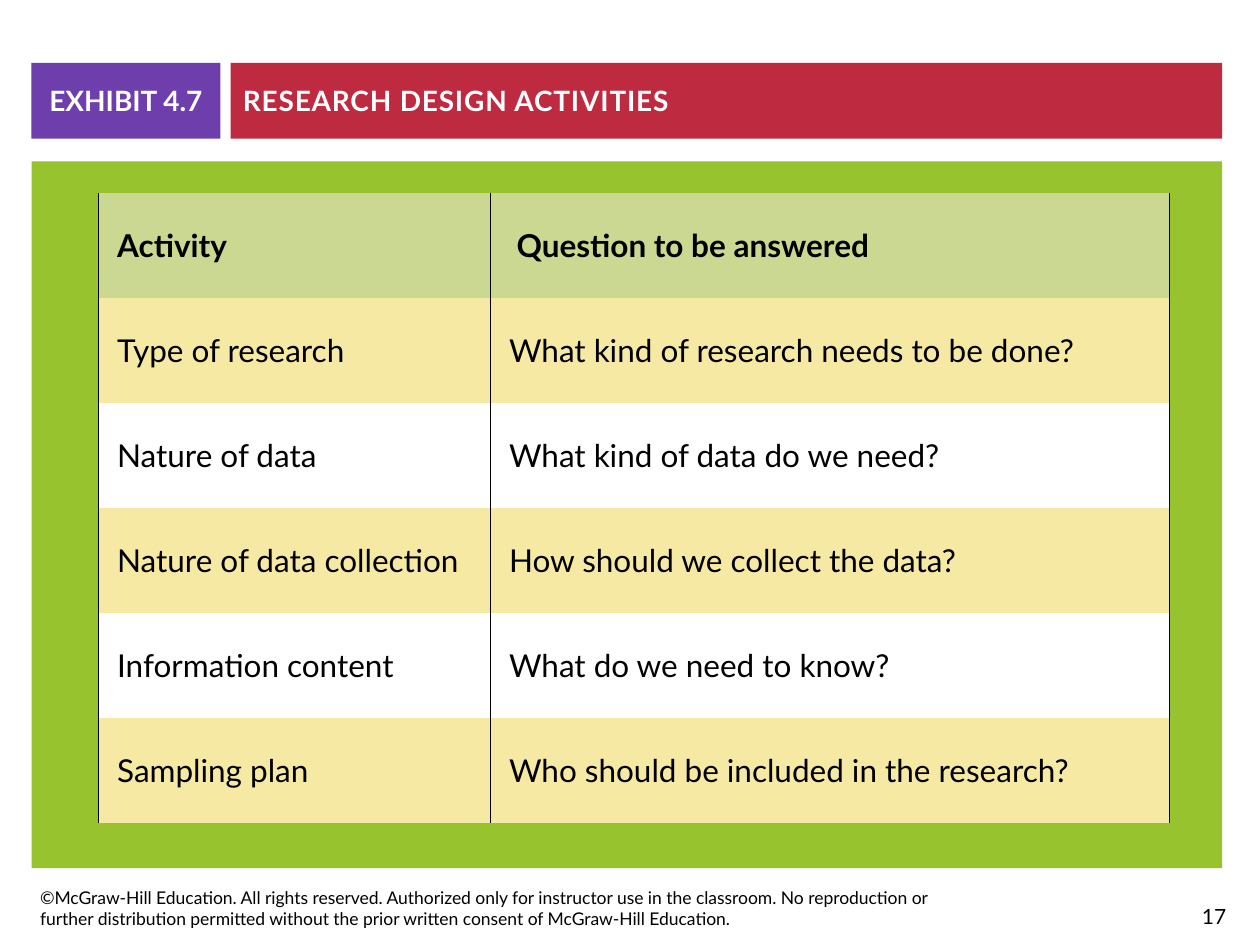
"""Build the research design activities exhibit slide."""
from dataclasses import dataclass

from lxml import etree
from pptx import Presentation
from pptx.dml.color import RGBColor
from pptx.enum.shapes import MSO_SHAPE
from pptx.enum.text import MSO_ANCHOR, PP_ALIGN
from pptx.oxml.ns import qn
from pptx.util import Inches, Pt

RECTANGLE = MSO_SHAPE.RECTANGLE
MIDDLE, BOTTOM = MSO_ANCHOR.MIDDLE, MSO_ANCHOR.BOTTOM
LEFT, CENTER, RIGHT = PP_ALIGN.LEFT, PP_ALIGN.CENTER, PP_ALIGN.RIGHT

EXHIBIT = "EXHIBIT 4.7"
TITLE = "RESEARCH DESIGN ACTIVITIES"
ACTIVITIES = [
    ("Activity", "Question to be answered"),
    ("Type of research", "What kind of research needs to be done?"),
    ("Nature of data", "What kind of data do we need?"),
    ("Nature of data collection", "How should we collect the data?"),
    ("Information content", "What do we need to know?"),
    ("Sampling plan", "Who should be included in the research?"),
]
COPYRIGHT = (
    "©McGraw-Hill Education. All rights reserved. Authorized only for instructor "
    "use in the classroom. No reproduction or further distribution permitted "
    "without the prior written consent of McGraw-Hill Education."
)
PAGE_NUMBER = "17"


@dataclass(frozen=True)
class Theme:
    font: str = "Lato"
    black: str = "000000"
    white: str = "FFFFFF"
    exhibit: str = "6D3EAC"
    title: str = "BE2B41"
    panel: str = "96C32E"
    header: str = "CAD891"
    stripe: str = "F6E9A3"
    heading_size: int = 16
    table_size: int = 18
    number_size: int = 12
    copyright_size: int = 10
    border_width: float = 0.5


THEME = Theme()
WIDTH, HEIGHT = 10, 7.5
MARGIN, RIGHT_EDGE = 0.25, 9.7
BAND_TOP, BAND_HEIGHT = 0.5, 0.6
EXHIBIT_WIDTH, TITLE_LEFT = 1.5, 1.83
PANEL_TOP, PANEL_HEIGHT = 1.28, 5.61
TABLE_LEFT, TABLE_TOP, TABLE_HEIGHT = 0.78, 1.53, 5
COLUMN_WIDTHS = (3.11, 5.39)
CELL_MARGIN, HEADER_INDENT = 0.15, 0.06
FOOTER_TOP, FOOTER_HEIGHT = 6.9, 0.52


def write(text_frame, text, size, color, bold=False, align=LEFT):
    text_frame.text = text
    text_frame.word_wrap = True
    paragraph = text_frame.paragraphs[0]
    paragraph.alignment = align
    run = paragraph.runs[0]
    run.font.name = THEME.font
    run.font.size = Pt(size)
    run.font.bold = bold
    run.font.color.rgb = RGBColor.from_string(color)
    return run


def add_block(slide, left, top, width, height, color):
    shape = slide.shapes.add_shape(
        RECTANGLE, Inches(left), Inches(top), Inches(width), Inches(height))
    shape.shadow.inherit = False
    shape.fill.solid()
    shape.fill.fore_color.rgb = RGBColor.from_string(color)
    shape.line.fill.background()
    shape.text_frame.vertical_anchor = MIDDLE
    return shape


def add_heading(slide, left, width, color, text, align):
    block = add_block(slide, left, BAND_TOP, width, BAND_HEIGHT, color)
    return write(block.text_frame, text, THEME.heading_size, THEME.white, True, align)


def add_footer(slide, left, width, text, size, align):
    box = slide.shapes.add_textbox(
        Inches(left), Inches(FOOTER_TOP), Inches(width), Inches(FOOTER_HEIGHT))
    box.text_frame.vertical_anchor = BOTTOM
    write(box.text_frame, text, size, THEME.black, align=align)


def set_borders(cell):
    properties = cell._tc.get_or_add_tcPr()
    for position, side in enumerate(("lnL", "lnR", "lnT", "lnB")):
        line = etree.Element(qn(f"a:{side}"))
        if side in ("lnL", "lnR"):
            line.set("w", str(Pt(THEME.border_width)))
            fill = etree.SubElement(line, qn("a:solidFill"))
            etree.SubElement(fill, qn("a:srgbClr"), val=THEME.black)
        else:
            etree.SubElement(line, qn("a:noFill"))
        properties.insert(position, line)


def row_color(row):
    if row == 0:
        return THEME.header
    return THEME.stripe if row % 2 else THEME.white


def add_activity_table(slide):
    row_count = len(ACTIVITIES)
    table = slide.shapes.add_table(
        row_count, len(COLUMN_WIDTHS), Inches(TABLE_LEFT), Inches(TABLE_TOP),
        Inches(sum(COLUMN_WIDTHS)), Inches(TABLE_HEIGHT)).table
    for column, width in zip(table.columns, COLUMN_WIDTHS):
        column.width = Inches(width)
    for row, texts in enumerate(ACTIVITIES):
        table.rows[row].height = Inches(TABLE_HEIGHT / row_count)
        for column, text in enumerate(texts):
            cell = table.cell(row, column)
            indent = HEADER_INDENT if row == 0 and column == 1 else 0
            cell.margin_left = Inches(CELL_MARGIN + indent)
            cell.margin_right = Inches(CELL_MARGIN)
            cell.margin_top = cell.margin_bottom = Inches(CELL_MARGIN)
            cell.vertical_anchor = MIDDLE
            cell.fill.solid()
            cell.fill.fore_color.rgb = RGBColor.from_string(row_color(row))
            set_borders(cell)
            write(cell.text_frame, text, THEME.table_size, THEME.black, row == 0)


def main():
    presentation = Presentation()
    presentation.slide_width = Inches(WIDTH)
    presentation.slide_height = Inches(HEIGHT)
    slide = presentation.slides.add_slide(presentation.slide_layouts[6])
    title = add_heading(
        slide, TITLE_LEFT, RIGHT_EDGE - TITLE_LEFT, THEME.title, TITLE, LEFT)
    title._r.get_or_add_rPr().set("spc", "50")
    add_heading(slide, MARGIN, EXHIBIT_WIDTH, THEME.exhibit, EXHIBIT, CENTER)
    add_block(slide, MARGIN, PANEL_TOP, RIGHT_EDGE - MARGIN, PANEL_HEIGHT, THEME.panel)
    add_activity_table(slide)
    add_footer(slide, 8.98, 0.85, PAGE_NUMBER, THEME.number_size, RIGHT)
    add_footer(slide, 0.22, 7.64, COPYRIGHT, THEME.copyright_size, LEFT)
    presentation.save("out.pptx")


if __name__ == "__main__":
    main()
